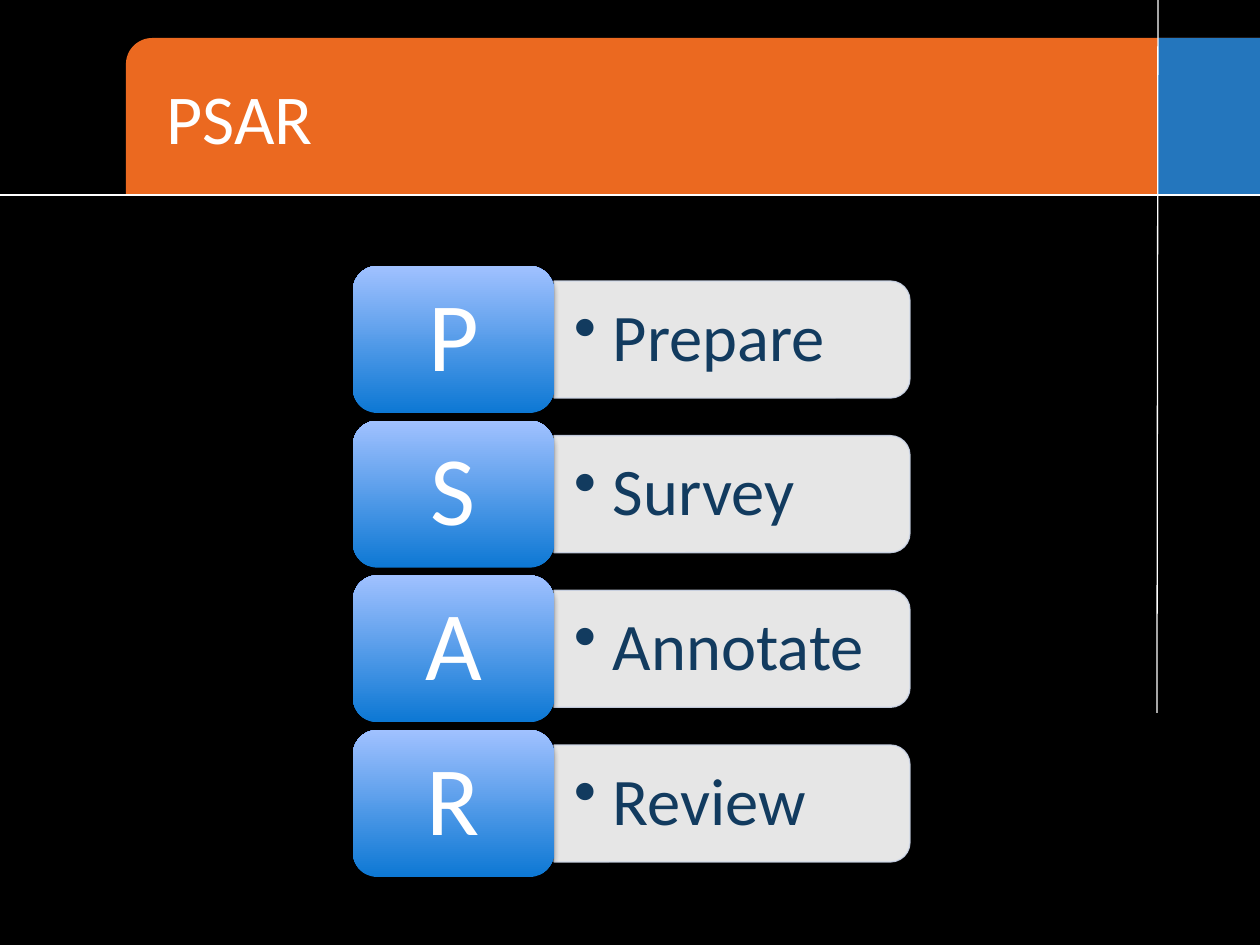
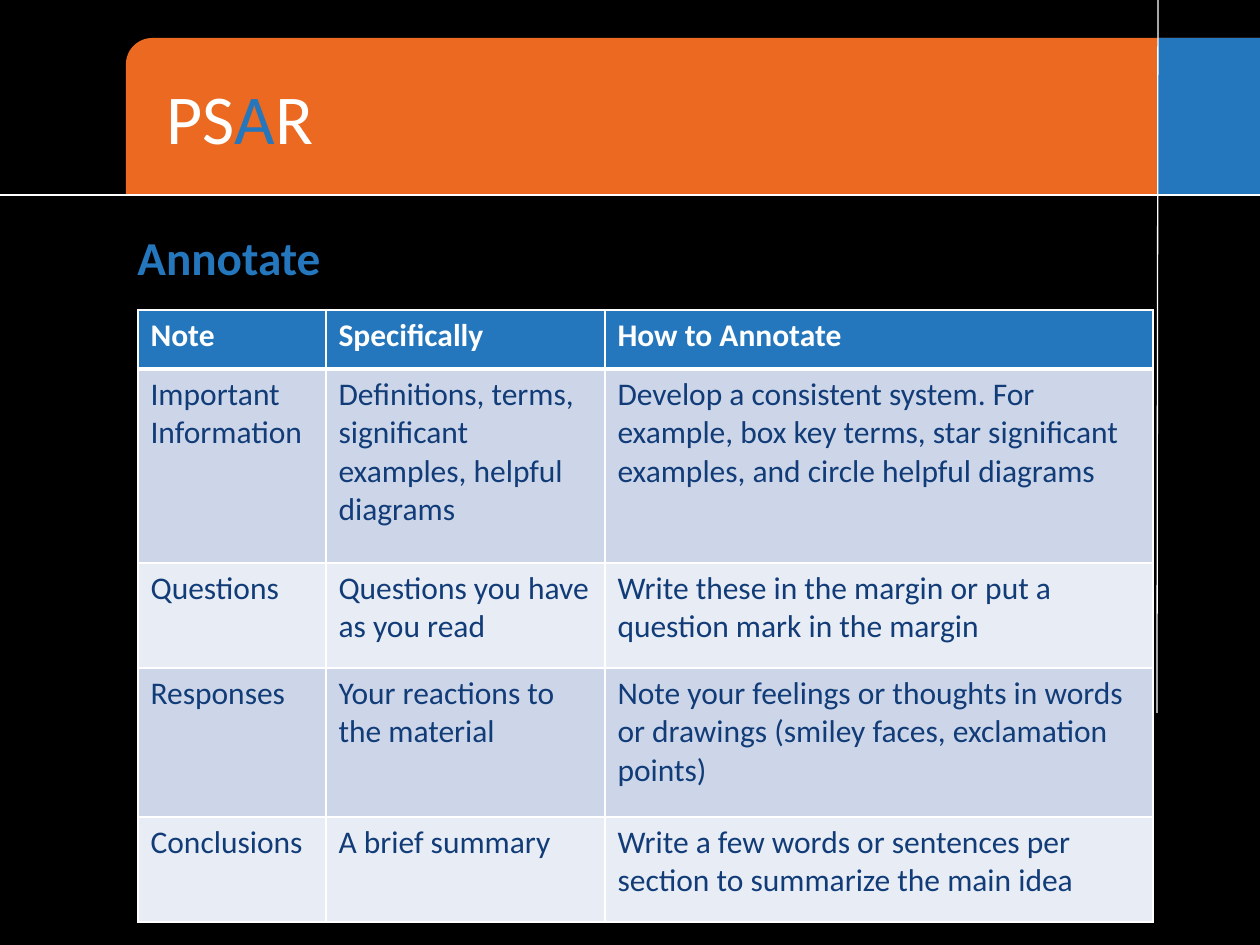
from lxml import etree
from pptx import Presentation
from pptx.dml.color import RGBColor
from pptx.enum.shapes import MSO_CONNECTOR, MSO_SHAPE
from pptx.enum.text import MSO_ANCHOR, MSO_AUTO_SIZE, PP_ALIGN
from pptx.oxml.ns import qn
from pptx.util import Emu, Pt

EMU_PER_INCH = 914400
PX_PER_INCH = 126
SLIDE_WIDTH, SLIDE_HEIGHT = 1260, 945
TITLE_ONLY_LAYOUT = 5

FONT = "Calibri"
BLACK = RGBColor(0x00, 0x00, 0x00)
WHITE = RGBColor(0xFF, 0xFF, 0xFF)
ORANGE = RGBColor(0xEB, 0x69, 0x20)
BLUE = RGBColor(0x24, 0x76, 0xBD)
NAVY = RGBColor(0x12, 0x3B, 0x5F)
TABLE_NAVY = RGBColor(0x11, 0x3C, 0x78)
PALE_BLUE = RGBColor(0xCD, 0xD6, 0xE8)
PALEST_BLUE = RGBColor(0xE8, 0xEC, 0xF4)
GRADIENT_BOTTOM = RGBColor(0x0D, 0x78, 0xD4)
GRADIENT_TOP = RGBColor(0xA0, 0xC1, 0xFF)

RECTANGLE = MSO_SHAPE.RECTANGLE
ROUNDED = MSO_SHAPE.ROUNDED_RECTANGLE
ONE_ROUND_CORNER = MSO_SHAPE.ROUND_1_RECTANGLE
TWO_ROUND_CORNERS = MSO_SHAPE.ROUND_2_SAME_RECTANGLE
STRAIGHT = MSO_CONNECTOR.STRAIGHT
TOP, MIDDLE = MSO_ANCHOR.TOP, MSO_ANCHOR.MIDDLE
LEFT, CENTER = PP_ALIGN.LEFT, PP_ALIGN.CENTER
NO_AUTOFIT = MSO_AUTO_SIZE.NONE

STEPS = ["Prepare", "Survey", "Annotate", "Review"]
COLUMN_WIDTHS = [188, 279, 548]
ROW_HEIGHTS = [59, 194, 105, 149, 105]
ANNOTATION_ROWS = [
    ["Note", "Specifically", "How to Annotate"],
    ["Important Information",
     "Definitions, terms, significant examples, helpful diagrams",
     "Develop a consistent system. For example, box key terms, "
     "star significant examples, and circle helpful diagrams"],
    ["Questions", "Questions you have as you read",
     "Write these in the margin or put a question mark in the margin"],
    ["Responses", "Your reactions to the material",
     "Note your feelings or thoughts in words or drawings "
     "(smiley faces, exclamation points)"],
    ["Conclusions", "A brief summary",
     "Write a few words or sentences per section to summarize the main idea"],
]


def px(length):
    return Emu(round(length * EMU_PER_INCH / PX_PER_INCH))


def write_text(frame, runs, size, color=WHITE, bold=False, align=LEFT,
               anchor=TOP, line_spacing=None, margins=None):
    """Fill a text frame; runs is a string or a list of (text, color) pairs."""
    frame.word_wrap = True
    frame.auto_size = NO_AUTOFIT
    frame.vertical_anchor = anchor
    if margins:
        horizontal, vertical = margins
        frame.margin_left = frame.margin_right = px(horizontal)
        frame.margin_top = frame.margin_bottom = px(vertical)
    paragraph = frame.paragraphs[0]
    paragraph.alignment = align
    if line_spacing:
        paragraph.line_spacing = line_spacing
    for text, run_color in [(runs, color)] if isinstance(runs, str) else runs:
        run = paragraph.add_run()
        run.text = text
        run.font.name = FONT
        run.font.size = Pt(size)
        run.font.bold = bold
        run.font.color.rgb = run_color
    return paragraph


def add_text_box(slide, box, text, **text_format):
    shape = slide.shapes.add_textbox(*map(px, box))
    return write_text(shape.text_frame, text, **text_format)


def add_shape(slide, kind, box, fill=None):
    shape = slide.shapes.add_shape(kind, *map(px, box))
    shape.shadow.inherit = False
    shape.line.fill.background()
    if fill is not None:
        shape.fill.solid()
        shape.fill.fore_color.rgb = fill
    return shape


def add_line(slide, *ends):
    line = slide.shapes.add_connector(STRAIGHT, *map(px, ends))
    line.line.color.rgb = WHITE
    line.line.width = Pt(0.75)
    etree.SubElement(line.element.spPr, qn("a:effectLst"))


def set_opacity(element, percent):
    for color in element.iter(qn("a:srgbClr")):
        etree.SubElement(color, qn("a:alpha"), val=str(percent * 1000))


def add_drop_shadow(shape):
    effects = shape.element.spPr.find(qn("a:effectLst"))
    shadow = etree.SubElement(effects, qn("a:outerShdw"), blurRad=str(Pt(3.1)),
                              dist=str(Pt(1.8)), dir="5400000", rotWithShape="0")
    etree.SubElement(shadow, qn("a:srgbClr"), val=str(BLACK))
    set_opacity(shadow, 35)


def add_bullet(paragraph, indent):
    properties = paragraph._p.get_or_add_pPr()
    properties.set("marL", str(px(indent)))
    properties.set("indent", str(-px(indent)))
    etree.SubElement(properties, qn("a:buChar"), char="•")


def add_titled_slide(presentation, title_runs):
    """Add a slide with the orange title band, blue corner and cross lines."""
    slide = presentation.slides.add_slide(
        presentation.slide_layouts[TITLE_ONLY_LAYOUT])
    left, top, height, corner_left = 126, 38, 157, 1158
    band = add_shape(slide, ONE_ROUND_CORNER,
                     (left, top, SLIDE_WIDTH - left, height), ORANGE)
    band.element.spPr.xfrm.set("flipH", "1")
    add_shape(slide, RECTANGLE,
              (corner_left, top, SLIDE_WIDTH - corner_left, height), BLUE)
    add_line(slide, corner_left, 0, corner_left - 1, 713)
    add_line(slide, 0, top + height, SLIDE_WIDTH, top + height)

    title = slide.shapes.title
    title.left, title.top, title.width, title.height = map(
        px, (left + 28, top, 1043, height))
    write_text(title.text_frame, title_runs, size=40, anchor=MIDDLE)
    slide.shapes._spTree.append(title._element)  # in front of the band
    return slide


def add_step(slide, box, step):
    """Place a letter block with the word it stands for on a bar beside it."""
    left, top, width, height = box
    block_width, bar_inset = 201, 15
    bar_left, bar_top = left + block_width, top + bar_inset
    bar_width, bar_height = width - block_width, height - 2 * bar_inset

    # The bar is turned a quarter, so its unturned box swaps width and height.
    turn = (bar_width - bar_height) / 2
    bar = add_shape(slide, TWO_ROUND_CORNERS,
                    (bar_left + turn, bar_top - turn, bar_height, bar_width), WHITE)
    bar.rotation = 90
    bar.line.color.rgb = PALE_BLUE
    bar.line.width = Pt(0.75)
    set_opacity(bar.element.spPr, 90)
    word = add_text_box(slide, (bar_left, bar_top, bar_width - 6, bar_height), step,
                        size=38, color=NAVY, anchor=MIDDLE, line_spacing=0.9,
                        margins=(20, 10))
    add_bullet(word, 39)

    block = add_shape(slide, ROUNDED, (left, top, block_width, height))
    block.fill.gradient()
    block.fill.gradient_angle = 90
    for stop, color in zip(block.fill.gradient_stops,
                           (GRADIENT_BOTTOM, GRADIENT_TOP)):
        stop.color.rgb = color
    add_drop_shadow(block)
    write_text(block.text_frame, step[0], size=56, align=CENTER, anchor=MIDDLE,
               line_spacing=0.9, margins=(29, 15))


def add_step_list(slide, box):
    left, top, width, height = box
    step_height = 147
    pitch = (height - step_height) / (len(STEPS) - 1)
    for index, step in enumerate(STEPS):
        add_step(slide, (left, top + index * pitch, width, step_height), step)


def set_borders(cell, top_width, bottom_width):
    properties = cell._tc.get_or_add_tcPr()
    widths = {"a:lnL": 1, "a:lnR": 1, "a:lnT": top_width, "a:lnB": bottom_width}
    for side, width in widths.items():
        line = etree.SubElement(properties, qn(side), w=str(Pt(width)))
        fill = etree.SubElement(line, qn("a:solidFill"))
        etree.SubElement(fill, qn("a:srgbClr"), val=str(WHITE))


def add_annotation_table(slide, left, top):
    table = slide.shapes.add_table(
        len(ROW_HEIGHTS), len(COLUMN_WIDTHS), px(left), px(top),
        px(sum(COLUMN_WIDTHS)), px(sum(ROW_HEIGHTS))).table
    table.first_row = table.horz_banding = False
    for column, width in zip(table.columns, COLUMN_WIDTHS):
        column.width = px(width)
    for row_index, texts in enumerate(ANNOTATION_ROWS):
        row = table.rows[row_index]
        row.height = px(ROW_HEIGHTS[row_index])
        header = row_index == 0
        band_fill = PALE_BLUE if row_index % 2 else PALEST_BLUE
        for cell, text in zip(row.cells, texts):
            set_borders(cell, top_width=3 if row_index == 1 else 1,
                        bottom_width=3 if header else 1)
            cell.fill.solid()
            cell.fill.fore_color.rgb = BLUE if header else band_fill
            write_text(cell.text_frame, text, size=18, bold=header,
                       color=WHITE if header else TABLE_NAVY)


def build_overview_slide(presentation):
    slide = add_titled_slide(presentation, "PSAR")
    add_step_list(slide, (353, 266, 557, 611))


def build_annotate_slide(presentation):
    slide = add_titled_slide(
        presentation, [("PS", WHITE), ("A", BLUE), ("R", WHITE)])
    add_text_box(slide, (125, 222, 1029, 72), "Annotate",
                 size=27, color=BLUE, bold=True)
    add_annotation_table(slide, 138, 310)


def main():
    presentation = Presentation()
    presentation.slide_width = px(SLIDE_WIDTH)
    presentation.slide_height = px(SLIDE_HEIGHT)
    background = presentation.slide_master.background.fill
    background.solid()
    background.fore_color.rgb = BLACK
    build_overview_slide(presentation)
    build_annotate_slide(presentation)
    presentation.save("out.pptx")


if __name__ == "__main__":
    main()
